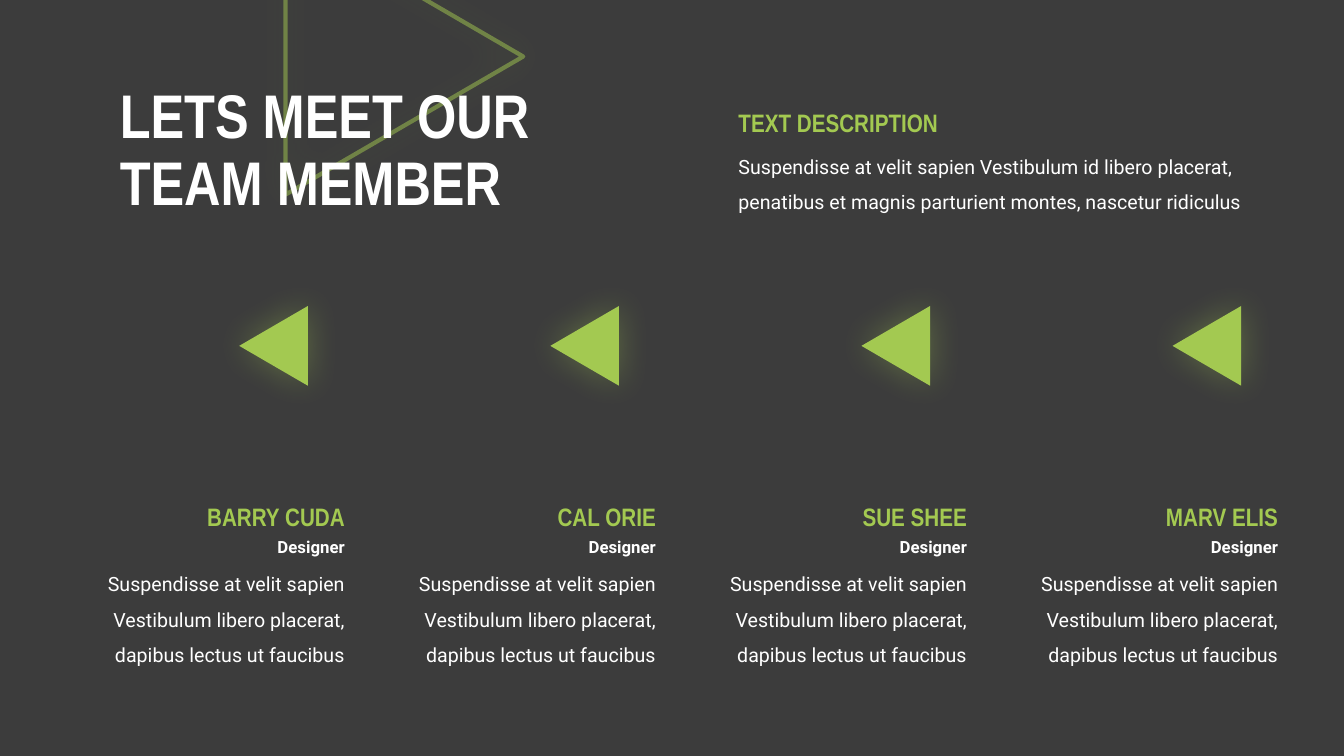
from lxml.etree import SubElement
from pptx import Presentation
from pptx.dml.color import RGBColor
from pptx.enum.shapes import MSO_SHAPE
from pptx.enum.text import MSO_ANCHOR, MSO_AUTO_SIZE, PP_ALIGN
from pptx.oxml.ns import qn
from pptx.util import Cm, Pt

CHARCOAL = RGBColor(0x3C, 0x3C, 0x3C)
GREEN = RGBColor(0xA3, 0xC9, 0x51)
WHITE = RGBColor(0xFF, 0xFF, 0xFF)

TITLE = {"name": "Arial Narrow", "size": Pt(44), "bold": True}
HEADING = {"name": "Arial Narrow", "size": Pt(18), "bold": True}
ROLE = {"name": "Roboto", "size": Pt(12), "bold": True}
BODY = {"name": "Roboto", "size": Pt(14), "bold": False}

MEMBERS = ["BARRY CUDA", "CAL ORIE", "SUE SHEE", "MARV ELIS"]
BIO = "Suspendisse at velit sapien Vestibulum libero placerat, dapibus lectus ut faucibus"
INTRO = (
    "Suspendisse at velit sapien Vestibulum id libero placerat, "
    "penatibus et magnis parturient montes, nascetur ridiculus"
)
COLUMN_RIGHT = 8.94
COLUMN_PITCH = 7.84


def add_text(page, area, text, font, color, **layout):
    box = page.shapes.add_textbox(*map(Cm, area))
    frame = box.text_frame
    frame.word_wrap = True
    frame.auto_size = MSO_AUTO_SIZE.SHAPE_TO_FIT_TEXT
    para = frame.paragraphs[0]
    para.text = text
    for name, value in layout.items():
        setattr(para, name, value)
    for span in para.runs:
        for name, value in font.items():
            setattr(span.font, name, value)
        span.font.color.rgb = color
    return box


def set_alpha(color_element, percent):
    SubElement(color_element, qn("a:alpha"), val=str(percent * 1000))


def add_glow(shape):
    shape.shadow.inherit = False
    effects = shape.element.spPr.find(qn("a:effectLst"))
    glow = SubElement(
        effects, qn("a:outerShdw"), blurRad=str(Pt(25)), dist="0", dir="0",
        algn="ctr", rotWithShape="0",
    )
    set_alpha(SubElement(glow, qn("a:srgbClr"), val=str(GREEN)), 35)


def add_triangle(page, area, rotation):
    triangle = page.shapes.add_shape(MSO_SHAPE.ISOSCELES_TRIANGLE, *map(Cm, area))
    triangle.rotation = rotation
    add_glow(triangle)
    return triangle


def add_outline_triangle(page):
    triangle = add_triangle(page, (6.71, -1.57, 6.96, 5.99), 90)
    triangle.fill.background()
    triangle.line.width = Pt(3)
    triangle.line.color.rgb = GREEN
    set_alpha(next(triangle.element.spPr.iter(qn("a:ln"))).find(
        f"{qn('a:solidFill')}/{qn('a:srgbClr')}"), 50)


def add_marker(page, right):
    marker = add_triangle(page, (right - 3.05, 7.85, 2.01, 1.73), 270)
    marker.fill.solid()
    marker.fill.fore_color.rgb = GREEN
    marker.line.fill.background()


def add_member(page, name, right):
    side = {"alignment": PP_ALIGN.RIGHT}
    add_text(page, (right - 7.21, 14, 7.21, 2.84), BIO, BODY, WHITE,
             line_spacing=1.5, **side)
    add_text(page, (right - 4.7, 12.52, 4.7, 1.02), name, HEADING, GREEN, **side)
    add_text(page, (right - 2.64, 13.41, 2.64, 0.76), "Designer", ROLE, WHITE, **side)
    add_marker(page, right)


def main():
    deck = Presentation()
    deck.slide_width, deck.slide_height = Cm(33.87), Cm(19.05)
    page = deck.slides.add_slide(deck.slide_layouts[6])
    page.background.fill.solid()
    page.background.fill.fore_color.rgb = CHARCOAL

    add_outline_triangle(page)
    title = add_text(page, (2.77, 1.83, 14.27, 4.01), "LETS MEET OUR\nTEAM MEMBER",
                     TITLE, WHITE, line_spacing=0.9)
    title.text_frame.auto_size = MSO_AUTO_SIZE.NONE
    title.text_frame.vertical_anchor = MSO_ANCHOR.MIDDLE

    for column, name in enumerate(MEMBERS):
        add_member(page, name, COLUMN_RIGHT + column * COLUMN_PITCH)

    add_text(page, (18.36, 3.48, 14.1, 1.96), INTRO, BODY, WHITE, line_spacing=1.5)
    add_text(page, (18.36, 2.57, 6.22, 1.02), "TEXT DESCRIPTION", HEADING, GREEN)
    deck.save("out.pptx")


if __name__ == "__main__":
    main()
